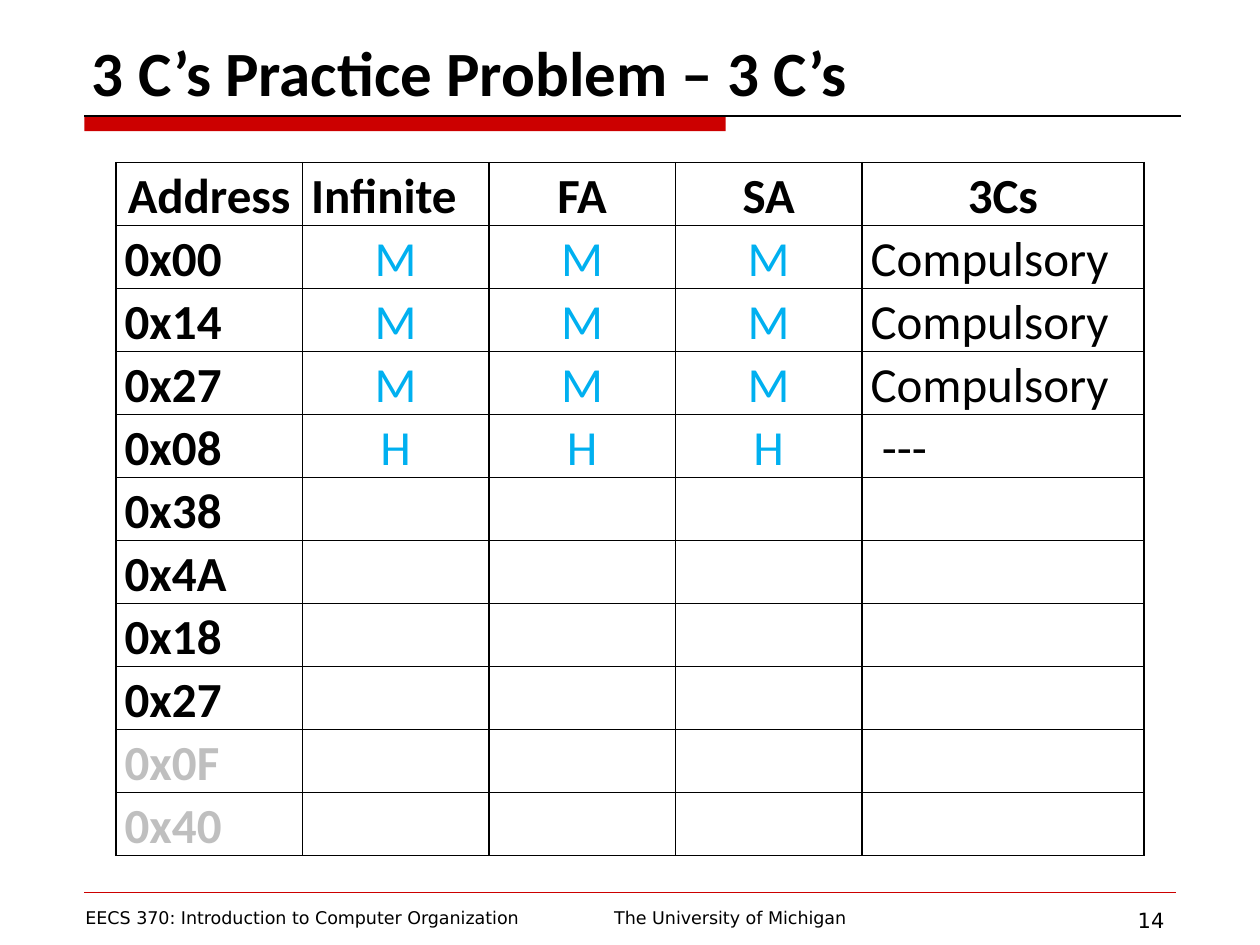
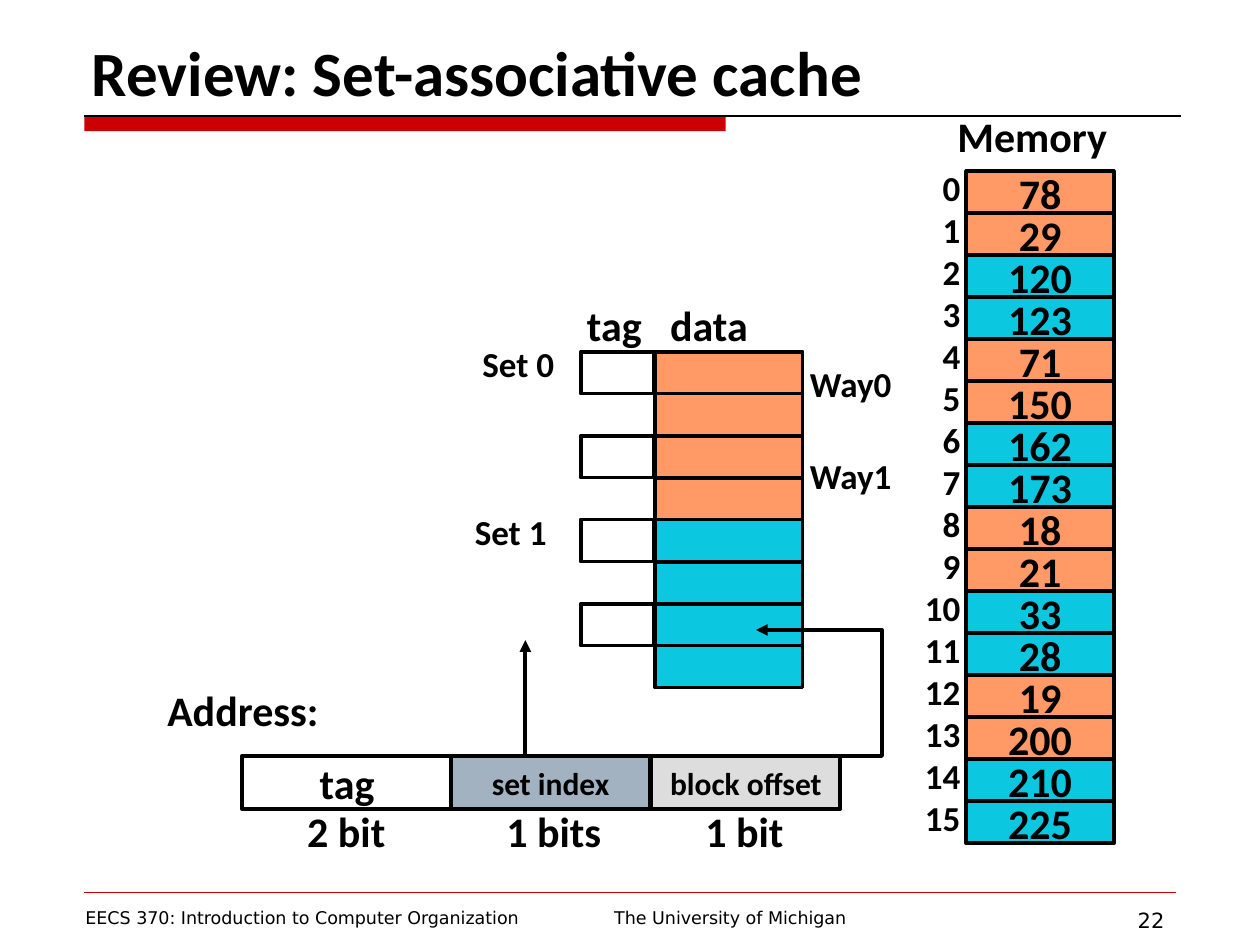
import pptx
import pptx.util
import pptx.dml.color
import pptx.enum.shapes
import pptx.enum.text
import pptx.oxml
import pptx.oxml.ns
from dataclasses import dataclass

Inches, Pt = pptx.util.Inches, pptx.util.Pt
RGB = pptx.dml.color.RGBColor.from_string
ALIGN, ANCHOR = pptx.enum.text.PP_ALIGN, pptx.enum.text.MSO_ANCHOR
RECTANGLE = pptx.enum.shapes.MSO_SHAPE.RECTANGLE
STRAIGHT = pptx.enum.shapes.MSO_CONNECTOR.STRAIGHT
A = pptx.oxml.ns.nsdecls("a")


@dataclass(frozen=True)
class Theme:
    font: str = "Calibri"
    footer_font: str = "DejaVu Sans"
    ink: str = "000000"
    red: str = "CC0000"
    white: str = "FFFFFF"
    answer: str = "00B0F0"
    faded: str = "BFBFBF"
    set0: str = "FF9966"
    set1: str = "0CC7E0"
    index: str = "A3B2C1"
    offset: str = "DDDDDD"
    title: int = 36
    table: int = 28
    large: int = 24
    medium: int = 20
    small: int = 18
    number: int = 12
    footer: int = 10
    outline: float = 2.25


theme = Theme()


def write(paragraph, text, size, color=theme.ink, bold=True, font=theme.font,
          align=ALIGN.LEFT):
    paragraph.alignment = align
    run = paragraph.add_run()
    run.text = text
    run.font.name, run.font.size, run.font.bold = font, Pt(size), bold
    run.font.color.rgb = RGB(color)


def put(slide, text, left, top, width, height, size=theme.large, fill=None, **style):
    """Add an outlined block when a fill is given, otherwise a label."""
    box = [Inches(v) for v in (left, top, width, height)]
    if fill:
        item = slide.shapes.add_shape(RECTANGLE, *box)
        item.shadow.inherit = False
        item.fill.solid()
        item.fill.fore_color.rgb = RGB(fill)
        item.line.color.rgb = RGB(theme.ink)
        item.line.width = Pt(theme.outline)
        item.text_frame.vertical_anchor = ANCHOR.MIDDLE
        style["align"] = ALIGN.CENTER
    else:
        item = slide.shapes.add_textbox(*box)
    item.text_frame.word_wrap = not fill
    if text:
        write(item.text_frame.paragraphs[0], text, size, **style)
    return item


presentation = pptx.Presentation()
presentation.slide_width, presentation.slide_height = Inches(10), Inches(7.5)

# Shared title, bands and footers
slides = []
for heading, number in (("3 C’s Practice Problem – 3 C’s", "14"),
                        ("Review: Set-associative cache", "22")):
    slide = presentation.slides.add_slide(presentation.slide_layouts[5])
    slides.append(slide)

    band = slide.shapes.add_shape(RECTANGLE, Inches(0.67), Inches(0.92),
                                  Inches(5.09), Inches(0.12))
    band.shadow.inherit = False
    band.fill.solid()
    band.fill.fore_color.rgb = RGB(theme.red)
    band.line.fill.background()

    for left, right, y, color, weight in ((0.67, 9.37, 0.92, theme.ink, 0.75),
                                          (0.67, 9.33, 7.08, theme.red, 0.25)):
        rule = slide.shapes.add_connector(STRAIGHT, Inches(left), Inches(y),
                                          Inches(right), Inches(y))
        rule.line.color.rgb = RGB(color)
        rule.line.width = Pt(weight)
        rule._element.spPr.append(pptx.oxml.parse_xml(f"<a:effectLst {A}/>"))

    title = slide.shapes.title
    title.left, title.top = Inches(0.63), Inches(0)
    title.width, title.height = Inches(8.75), Inches(0.92)
    title.text_frame.auto_size = pptx.enum.text.MSO_AUTO_SIZE.NONE
    title.text_frame.vertical_anchor = ANCHOR.BOTTOM
    write(title.text_frame.paragraphs[0], heading, theme.title)

    for text, left, width, size, align in (
            ("EECS 370: Introduction to Computer Organization", 0.58, 3.92,
             theme.footer, ALIGN.LEFT),
            ("The University of Michigan", 3.92, 3.75, theme.footer, ALIGN.CENTER),
            (number, 7.67, 1.67, theme.number, ALIGN.RIGHT)):
        put(slide, text, left, 7.15, width, 0.3, size, bold=False,
            font=theme.footer_font, align=align)

practice, review = slides

# Practice table: hits and misses for each address
headers = ["Address", "Infinite", "FA", "SA", "3Cs"]
addresses = ["0x00", "0x14", "0x27", "0x08", "0x38", "0x4A", "0x18", "0x27",
             "0x0F", "0x40"]
outcomes = [["M"] * 3 + ["Compulsory"]] * 3 + [["H"] * 3 + ["---"]]
outcomes += [[""] * 4] * (len(addresses) - len(outcomes))
rows = [headers] + [[a] + o for a, o in zip(addresses, outcomes)]

misses = practice.shapes.add_table(len(rows), len(headers), Inches(0.92), Inches(1.29),
                                   Inches(8.16), Inches(5.5)).table
misses.first_row = misses.horz_banding = False
for column, width in zip(misses.columns, [1.48] * 4 + [2.24]):
    column.width = Inches(width)
for r, row in enumerate(rows):
    misses.rows[r].height = Inches(0.5)
    for c, text in enumerate(row):
        cell = misses.cell(r, c)
        cell.margin_left = Inches(0.16 if text == "---" else 0.07)
        cell.margin_right = Inches(0.07)
        cell.margin_top = cell.margin_bottom = 0
        for side in "LRTB":
            cell._tc.get_or_add_tcPr().append(pptx.oxml.parse_xml(
                f'<a:ln{side} {A} w="12700"><a:solidFill>'
                f'<a:srgbClr val="{theme.ink}"/></a:solidFill></a:ln{side}>'))
        cell.fill.background()
        paragraph = cell.text_frame.paragraphs[0]
        paragraph.line_spacing = 1.07
        if not text:
            paragraph.font.size = Pt(theme.table)
            continue
        is_outcome = r > 0 and 1 <= c <= 3
        color = theme.answer if is_outcome else theme.ink
        if text in addresses[-2:]:
            color = theme.faded
        centred = is_outcome or (r == 0 and text != "Infinite")
        write(paragraph, text, theme.table, color, bold=r == 0 or c == 0,
              align=ALIGN.CENTER if centred else ALIGN.LEFT)

# Memory: pairs of bytes alternate between the two sets
row_height = 1 / 3
set_colors = [theme.set0, theme.set1]
memory = [78, 29, 120, 123, 71, 150, 162, 173, 18, 21, 33, 28, 19, 200, 210, 225]
for i, value in enumerate(memory):
    put(review, str(value), 7.67, 1.36 + i * row_height, 1.17, row_height,
        fill=set_colors[i // 2 % 2])

memory_addresses = put(review, "", 7.14, 1.27, 0.58, 5.49).text_frame
for i in range(len(memory)):
    line = memory_addresses.add_paragraph() if i else memory_addresses.paragraphs[0]
    line.line_spacing = Pt(24)
    write(line, str(i), theme.medium, align=ALIGN.RIGHT)

# Cache: two sets of two ways, each way with one tag and two data bytes
for i in range(8):
    top = 2.79 + i * row_height
    if i % 2 == 0:
        put(review, "", 4.61, top, 0.58, row_height, fill=theme.white)
    put(review, "", 5.2, top, 1.17, row_height, fill=set_colors[i // 4])

# Address fields
for text, left, width, size, fill in (
        ("tag", 1.92, 1.67, theme.large, theme.white),
        ("set index", 3.58, 1.58, theme.small, theme.index),
        ("block offset", 5.17, 1.5, theme.small, theme.offset)):
    put(review, text, left, 6, width, 0.42, size, fill)

# Labels
for text, left, top, size in (
        ("Memory", 7.5, 0.83, theme.large),
        ("tag", 4.56, 2.33, theme.large),
        ("data", 5.22, 2.33, theme.large),
        ("Address:", 1.23, 5.38, theme.large),
        ("2 bit", 2.34, 6.34, theme.large),
        ("1 bits", 3.92, 6.34, theme.large),
        ("1 bit", 5.5, 6.34, theme.large),
        ("Set 0", 3.73, 2.67, theme.medium),
        ("Set 1", 3.67, 4, theme.medium),
        ("Way0", 6.33, 2.83, theme.medium),
        ("Way1", 6.33, 3.56, theme.medium)):
    put(review, text, left, top, 1.5, 0.5, size)

# Arrows from the set index and the block offset into the cache
index_arrow = review.shapes.add_connector(STRAIGHT, Inches(4.17), Inches(6),
                                          Inches(4.17), Inches(5.08))

curves = [[(5.92, 6), (6.34, 5.81), (6.76, 5.61), (6.83, 5.5)],
          [(6.83, 5.5), (6.9, 5.39), (6.42, 5.36), (6.33, 5.33)]]
steps = 12
points = []
for curve in curves:
    for step in range(1, steps + 1):
        t = step / steps
        weights = [(1 - t) ** 3, 3 * t * (1 - t) ** 2, 3 * t * t * (1 - t), t ** 3]
        points.append([sum(w * p[axis] for w, p in zip(weights, curve))
                       for axis in (0, 1)])
builder = review.shapes.build_freeform(*curves[0][0], scale=Inches(1))
builder.add_line_segments(points, close=False)
offset_arrow = builder.convert_to_shape()
offset_arrow.fill.background()

for arrow in (index_arrow, offset_arrow):
    arrow.line.color.rgb = RGB(theme.ink)
    arrow.line.width = Pt(theme.outline)
    arrow.line._get_or_add_ln().append(
        pptx.oxml.parse_xml(f'<a:tailEnd {A} type="triangle"/>'))
    arrow._element.spPr.append(pptx.oxml.parse_xml(f"<a:effectLst {A}/>"))

presentation.save("out.pptx")
